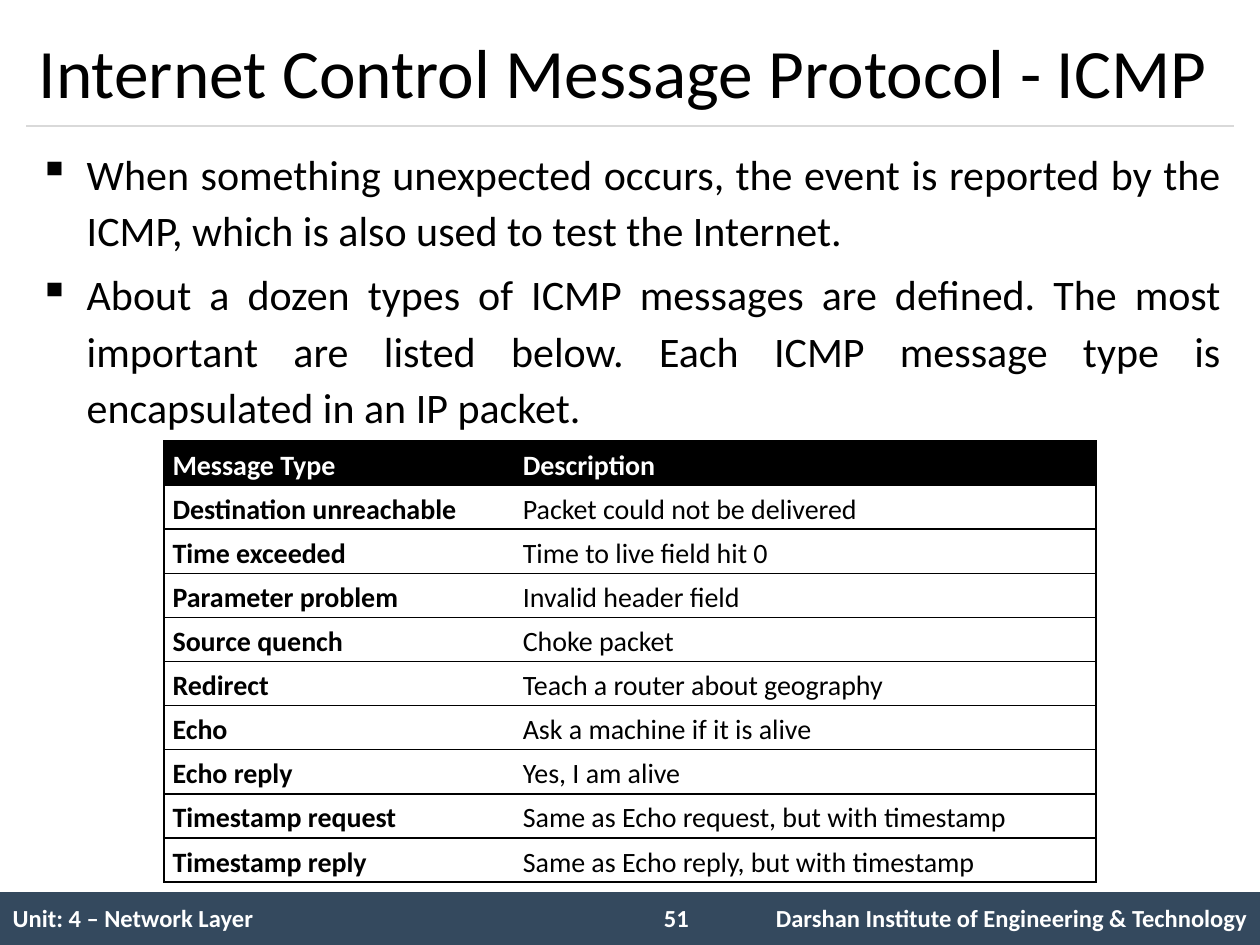
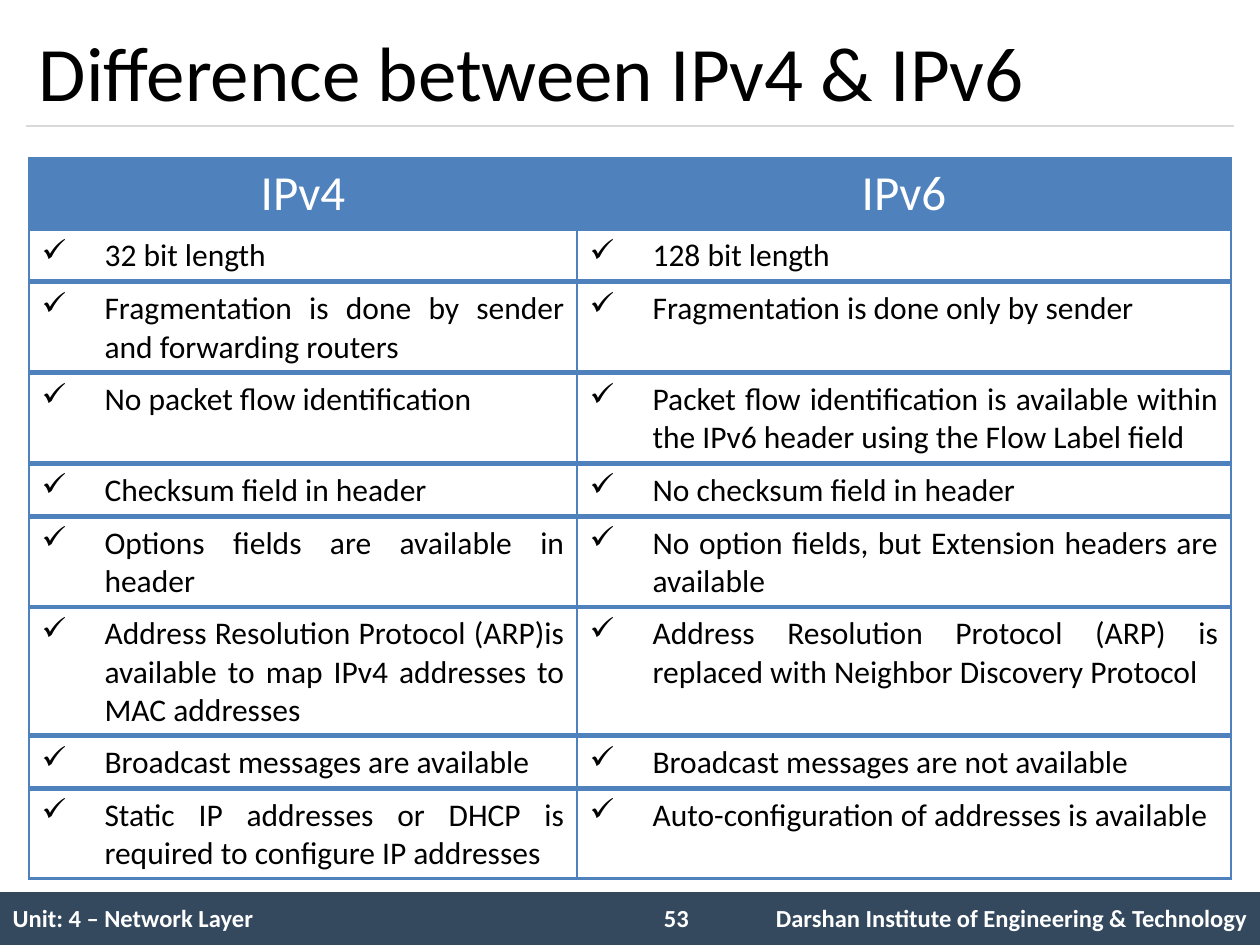
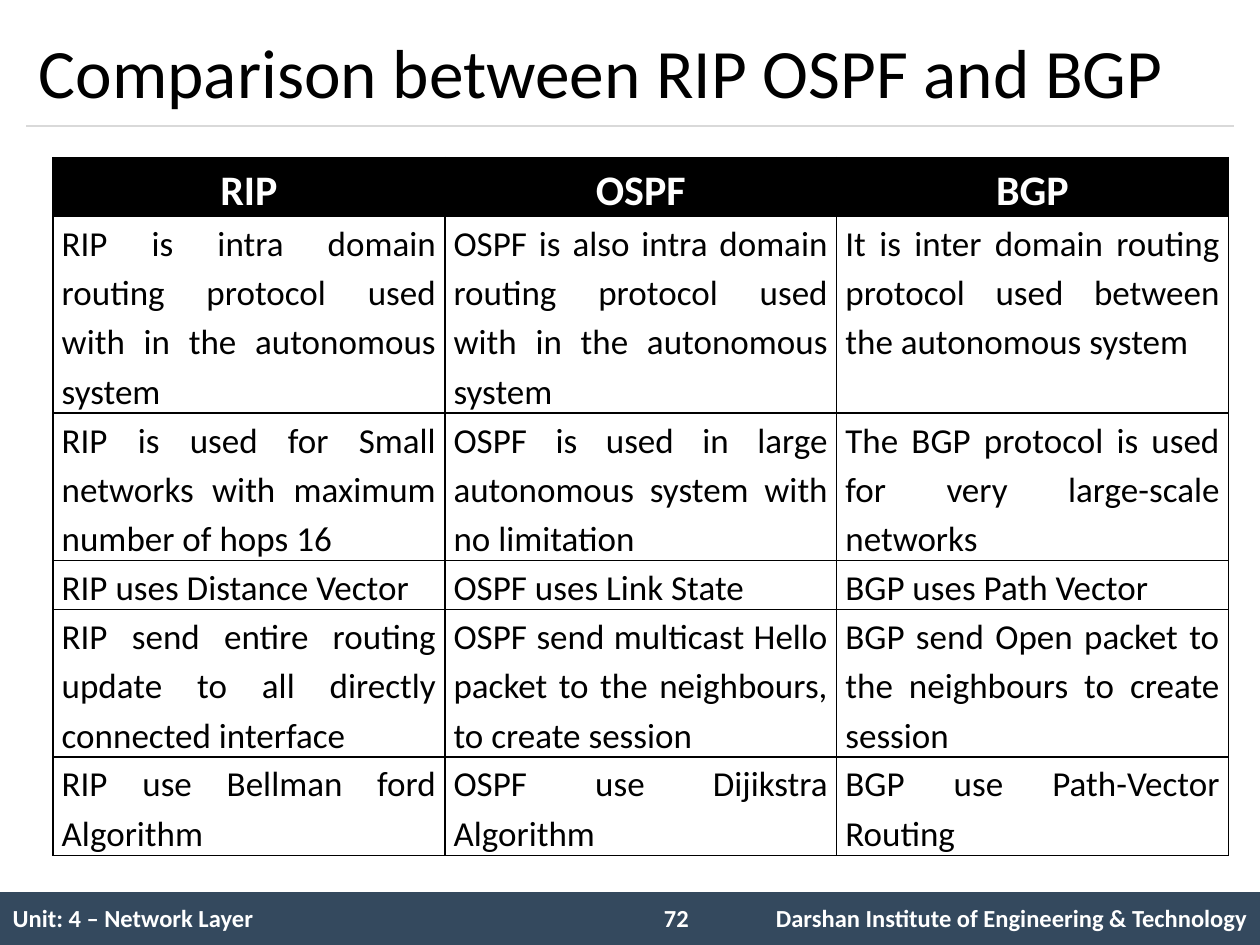
"""Build three network layer slides: ICMP messages, IPv4 and IPv6, and routing protocols."""
import pptx
import pptx.dml.color
import pptx.enum.shapes
import pptx.enum.text
import pptx.oxml
import pptx.oxml.ns
import pptx.util
from lxml import etree

Inches = pptx.util.Inches
Pt = pptx.util.Pt
ALIGN = pptx.enum.text.PP_ALIGN
ANCHOR = pptx.enum.text.MSO_ANCHOR

FONT = "Calibri"
COLORS = {
    "text": "000000",
    "light": "FFFFFF",
    "band": "34495E",
    "rule": "D9D9D9",
    "accent": "4F81BD",
}
ALL_SIDES = {"L": 1, "R": 1, "T": 1, "B": 1}
TIGHT_MARGINS = (0.07, 0)

ICMP_POINTS = [
    "When something unexpected occurs, the event is reported by the ICMP, "
    "which is also used to test the Internet.",
    "About a dozen types of ICMP messages are defined. The most important are listed below. "
    "Each ICMP message type is encapsulated in an IP packet.",
]
ICMP_MESSAGES = [
    ("Message Type", "Description"),
    ("Destination unreachable", "Packet could not be delivered"),
    ("Time exceeded", "Time to live field hit 0"),
    ("Parameter problem", "Invalid header field"),
    ("Source quench", "Choke packet"),
    ("Redirect", "Teach a router about geography"),
    ("Echo", "Ask a machine if it is alive"),
    ("Echo reply", "Yes, I am alive"),
    ("Timestamp request", "Same as Echo request, but with timestamp"),
    ("Timestamp reply", "Same as Echo reply, but with timestamp"),
]
IP_DIFFERENCES = [
    (1, "32 bit length", "128 bit length"),
    (2, "Fragmentation is done by sender and forwarding routers",
     "Fragmentation is done only by sender"),
    (2, "No packet flow identification",
     "Packet flow identification is available within the IPv6 header using the Flow Label field"),
    (1, "Checksum field in header", "No checksum field in header"),
    (2, "Options fields are available in header",
     "No option fields, but Extension headers are available"),
    (3, "Address Resolution Protocol (ARP)is available to map IPv4 addresses to MAC addresses",
     "Address Resolution Protocol (ARP) is replaced with Neighbor Discovery Protocol"),
    (1, "Broadcast messages are available", "Broadcast messages are not available"),
    (2, "Static IP addresses or DHCP is required to configure IP addresses",
     "Auto-configuration of addresses is available"),
]
ROUTING_PROTOCOLS = [
    ("RIP", "OSPF", "BGP"),
    ("RIP is intra domain routing protocol used with in the autonomous system",
     "OSPF is also intra domain routing protocol used with in the autonomous system",
     "It is inter domain routing protocol used between the autonomous system"),
    ("RIP is used for Small networks with maximum number of hops 16",
     "OSPF is used in large autonomous system with no limitation",
     "The BGP protocol is used for very large-scale networks"),
    ("RIP uses Distance Vector", "OSPF uses Link State", "BGP uses Path Vector"),
    ("RIP send entire routing update to all directly connected interface",
     "OSPF send multicast Hello packet to the neighbours, to create session",
     "BGP send Open packet to the neighbours to create session"),
    ("RIP use Bellman ford Algorithm", "OSPF use Dijikstra Algorithm",
     "BGP use Path-Vector Routing"),
]


def rgb(name):
    """Return the named colour."""
    return pptx.dml.color.RGBColor.from_string(COLORS[name])


def set_bullet(paragraph, character, indent):
    """Give a paragraph a hanging bullet."""
    properties = paragraph._p.get_or_add_pPr()
    properties.set("marL", str(Inches(indent)))
    properties.set("indent", str(-Inches(indent)))
    bullet = etree.SubElement(properties, pptx.oxml.ns.qn("a:buChar"))
    bullet.set("char", character)


def format_paragraph(paragraph, size, color="text", bold=False, align=ALIGN.LEFT, spacing=None):
    """Set the alignment, line spacing and run format of a paragraph."""
    paragraph.alignment = align
    if spacing:
        paragraph.line_spacing = spacing
    for run in paragraph.runs:
        run.font.name = FONT
        run.font.size = Pt(size)
        run.font.bold = bold
        run.font.color.rgb = rgb(color)


def add_text(slide, box, text, size, anchor=ANCHOR.TOP, **style):
    """Add a wrapping text box with one formatted paragraph."""
    text_frame = slide.shapes.add_textbox(*map(Inches, box)).text_frame
    text_frame.word_wrap = True
    text_frame.vertical_anchor = anchor
    text_frame.text = text
    format_paragraph(text_frame.paragraphs[0], size, **style)


def add_bullets(slide, box, points):
    """Add a justified list with square bullets."""
    text_frame = slide.shapes.add_textbox(*map(Inches, box)).text_frame
    text_frame.word_wrap = True
    text_frame.text = "\n".join(points)
    for index, paragraph in enumerate(text_frame.paragraphs):
        set_bullet(paragraph, "▪", 0.38)
        format_paragraph(paragraph, 24, align=ALIGN.JUSTIFY, spacing=1.12)
        if index:
            paragraph.space_before = Pt(4.5)


def set_borders(cell, widths, color):
    """Draw the given sides of a cell and hide the others."""
    properties = cell._tc.get_or_add_tcPr()
    for side in "LRTB":
        line = etree.SubElement(properties, pptx.oxml.ns.qn(f"a:ln{side}"))
        if side in widths:
            line.set("w", str(Pt(widths[side])))
            fill = etree.SubElement(line, pptx.oxml.ns.qn("a:solidFill"))
            etree.SubElement(fill, pptx.oxml.ns.qn("a:srgbClr")).set("val", COLORS[color])
        else:
            etree.SubElement(line, pptx.oxml.ns.qn("a:noFill"))


def add_plain_table(slide, left, top, widths, heights):
    """Add a table without header or band styling."""
    frame = slide.shapes.add_table(
        len(heights), len(widths),
        Inches(left), Inches(top), Inches(sum(widths)), Inches(sum(heights)))
    table = frame.table
    table.first_row = False
    table.horz_banding = False
    for column, width in zip(table.columns, widths):
        column.width = Inches(width)
    for row, height in zip(table.rows, heights):
        row.height = Inches(height)
    return table


def fill_cell(cell, text, size, borders=None, border_color="text", fill=None,
              margins=(0.1, 0.05), anchor=ANCHOR.TOP, bullet=None, **style):
    """Write, border and fill one table cell."""
    set_borders(cell, borders or {}, border_color)
    if fill:
        cell.fill.solid()
        cell.fill.fore_color.rgb = rgb(fill)
    else:
        cell.fill.background()
    cell.margin_left = cell.margin_right = Inches(margins[0])
    cell.margin_top = cell.margin_bottom = Inches(margins[1])
    cell.vertical_anchor = anchor
    cell.text_frame.text = text
    paragraph = cell.text_frame.paragraphs[0]
    if bullet:
        set_bullet(paragraph, bullet, 0.5)
    format_paragraph(paragraph, size, **style)


def add_footer(slide, number):
    """Add the band with the unit, page number and institute."""
    band = slide.shapes.add_shape(
        pptx.enum.shapes.MSO_SHAPE.RECTANGLE, *map(Inches, (0, 7.08, 10, 0.42)))
    band.shadow.inherit = False
    band.fill.solid()
    band.fill.fore_color.rgb = rgb("band")
    band.line.fill.background()
    table = add_plain_table(slide, 0, 7.08, [5.08, 0.67, 4.25], [0.43])
    entries = [
        ("Unit: 4 – Network Layer", ALIGN.LEFT),
        ("", ALIGN.CENTER),
        ("Darshan Institute of Engineering & Technology", ALIGN.RIGHT),
    ]
    for column, (text, align) in enumerate(entries):
        fill_cell(table.cell(0, column), text, 14, anchor=ANCHOR.MIDDLE,
                  color="light", bold=True, align=align)
    add_text(slide, (5.17, 7.12, 0.58, 0.34), str(number), 14, color="light", bold=True)


def add_base_slide(presentation, title, number, title_size=39.6):
    """Add a slide with its title, rule and footer."""
    slide = presentation.slides.add_slide(presentation.slide_layouts[6])
    add_footer(slide, number)
    rule = slide.shapes.add_connector(
        pptx.enum.shapes.MSO_CONNECTOR.STRAIGHT, *map(Inches, (0.21, 1, 9.79, 1)))
    rule.line.color.rgb = rgb("rule")
    rule.line.width = Pt(0.75)
    etree.SubElement(rule._element.spPr, pptx.oxml.ns.qn("a:effectLst"))
    add_text(slide, (0.21, 0.12, 9.58, 0.88), title, title_size, anchor=ANCHOR.MIDDLE)
    return slide


def add_message_table(slide):
    """Add the table of ICMP message types."""
    table = add_plain_table(slide, 1.3, 3.5, [2.78, 4.62], [0.35] * len(ICMP_MESSAGES))
    for row, entries in enumerate(ICMP_MESSAGES):
        header = row == 0
        for column, text in enumerate(entries):
            outer_side = "LR"[column]
            fill_cell(table.cell(row, column), text, 16,
                      borders={outer_side: 1, "T": 1, "B": 1},
                      fill="text" if header else "light",
                      color="light" if header else "text",
                      bold=header or column == 0,
                      margins=TIGHT_MARGINS, anchor=ANCHOR.MIDDLE, spacing=1.15)


def add_difference_tables(slide):
    """Stack a heading table and one table for each IPv4 and IPv6 difference."""
    left, widths = 0.23, [4.35, 5.19]
    heading = add_plain_table(slide, left, 1.25, widths, [0.57])
    for column, text in enumerate(("IPv4", "IPv6")):
        fill_cell(heading.cell(0, column), text, 28, borders=ALL_SIDES,
                  border_color="accent", fill="accent", color="light", align=ALIGN.CENTER)
    top = 1.83
    for lines, *entries in IP_DIFFERENCES:
        height = 0.1 + 0.3 * lines
        table = add_plain_table(slide, left, top, widths, [height])
        for column, text in enumerate(entries):
            fill_cell(table.cell(0, column), text, 18, borders={**ALL_SIDES, "B": 2},
                      border_color="accent", bullet="✓", align=ALIGN.JUSTIFY)
        top += height + 0.02


def add_protocol_table(slide):
    """Add the comparison of the three routing protocols."""
    line_counts = [4, 3, 1, 3, 2]
    heights = [0.47] + [0.39 * lines for lines in line_counts]
    table = add_plain_table(slide, 0.42, 1.25, [3.11] * 3, heights)
    for row, entries in enumerate(ROUTING_PROTOCOLS):
        header = row == 0
        for column, text in enumerate(entries):
            fill_cell(table.cell(row, column), text, 24 if header else 20,
                      borders=ALL_SIDES, margins=TIGHT_MARGINS, spacing=1.15, bold=header,
                      fill="text" if header else "light",
                      color="light" if header else "text",
                      align=ALIGN.CENTER if header else ALIGN.JUSTIFY)


def main():
    """Build and save the presentation."""
    presentation = pptx.Presentation()
    presentation.slide_width = Inches(10)
    presentation.slide_height = Inches(7.5)

    slide = add_base_slide(presentation, "Internet Control Message Protocol - ICMP", 51)
    add_bullets(slide, (0.21, 1.08, 9.58, 2.42), ICMP_POINTS)
    add_message_table(slide)

    slide = add_base_slide(presentation, "Difference between IPv4 & IPv6", 53, title_size=44)
    add_difference_tables(slide)

    slide = add_base_slide(presentation, "Comparison between RIP OSPF and BGP", 72)
    add_protocol_table(slide)

    presentation.save("out.pptx")


if __name__ == "__main__":
    main()
